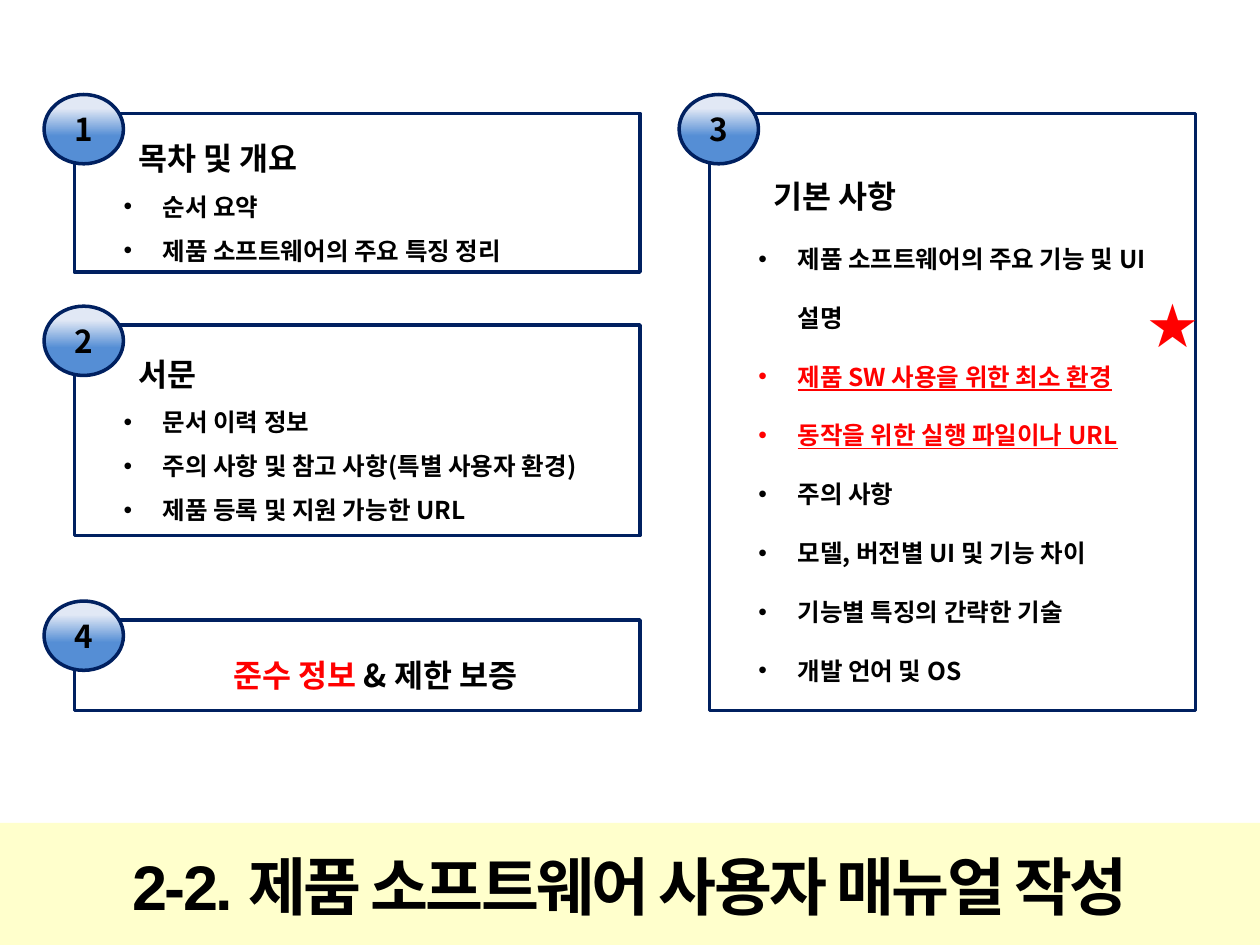
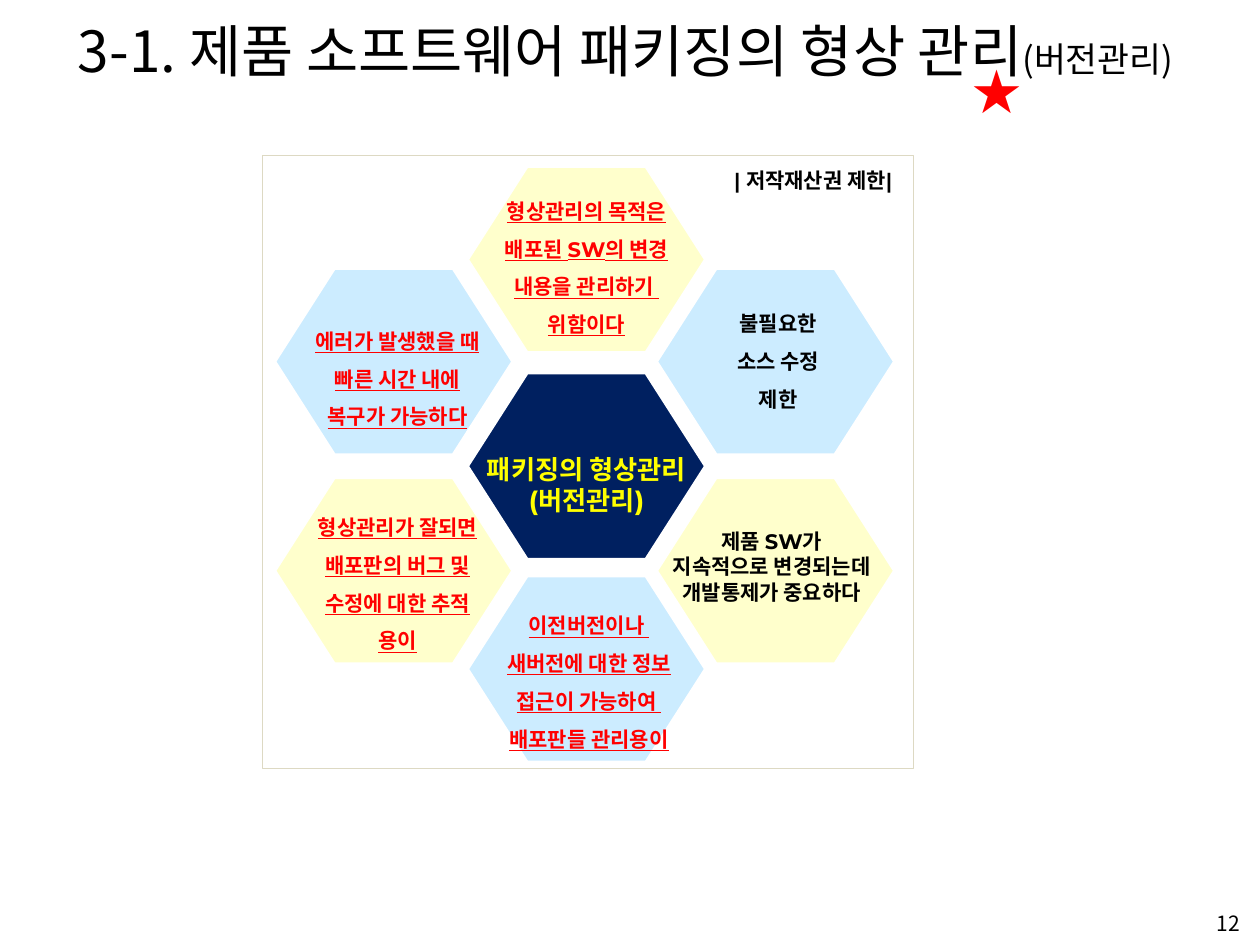
"""Build two slides on software user manuals and packaging configuration management."""
from dataclasses import dataclass

from lxml.etree import SubElement
from pptx import Presentation
from pptx.dml.color import RGBColor
from pptx.enum.shapes import MSO_SHAPE
from pptx.enum.text import MSO_ANCHOR, MSO_AUTO_SIZE, PP_ALIGN
from pptx.oxml.ns import qn
from pptx.util import Inches, Pt


@dataclass(frozen=True)
class Theme:
    """Colours, fonts and type sizes shared by the slides."""

    navy: str = "002060"
    cream: str = "FFFFCC"
    sky: str = "CCECFF"
    pale: str = "E1E8F5"
    blue: str = "558ED5"
    sand: str = "DDD9C3"
    white: str = "FFFFFF"
    black: str = "000000"
    red: str = "FF0000"
    yellow: str = "FFFF00"
    korean: str = "Noto Sans CJK KR"
    latin: str = "Arial"
    caption: str = "Montserrat"
    band_size: float = 36
    title_size: float = 32.4
    subtitle_size: float = 19.8
    star_size: float = 28
    heading_size: float = 18
    core_size: float = 15
    item_size: float = 14
    small_size: float = 12


THEME = Theme()
SLIDE_SIZE = (10, 7.5)
ALERT = {"color": THEME.red, "underline": True}
PLAIN = {"color": THEME.black}

MANUAL_TITLE = "2-2. 제품 소프트웨어 사용자 매뉴얼 작성"
PANEL_COLUMNS = {"left": (0.59, 4.49), "right": (5.63, 3.86)}
PANELS = [
    {"number": "1", "column": "left", "top": 0.9, "height": 1.26, "spacing": 1.5,
     "heading": "목차 및 개요",
     "items": ["순서 요약", "제품 소프트웨어의 주요 특징 정리"]},
    {"number": "3", "column": "right", "top": 0.9, "height": 4.74, "spacing": 2.0,
     "heading": "기본 사항",
     "items": ["제품 소프트웨어의 주요 기능 및 UI 설명", "제품 SW 사용을 위한 최소 환경",
               "동작을 위한 실행 파일이나 URL", "주의 사항", "모델, 버전별 UI 및 기능 차이",
               "기능별 특징의 간략한 기술", "개발 언어 및 OS"],
     "alerts": (1, 2)},
    {"number": "2", "column": "left", "top": 2.58, "height": 1.67, "spacing": 1.5,
     "heading": "서문",
     "items": ["문서 이력 정보", "주의 사항 및 참고 사항(특별 사용자 환경)",
               "제품 등록 및 지원 가능한 URL"]},
    {"number": "4", "column": "left", "top": 4.92, "height": 0.72, "spacing": 1.5,
     "notice": [("준수 정보 ", {"color": THEME.red}), ("& 제한 보증", {})]},
]
BADGE_OFFSET, BADGE_SIZE = (-0.24, -0.15), (0.63, 0.55)

PACKAGING_TITLE = [("3-1. 제품 소프트웨어 패키징의 형상 관리", {}),
                   ("(버전관리)", {"size": THEME.subtitle_size})]
PAGE_NUMBER = "12"
FRAME_NOTE = "| 저작재산권 제한|"
HEXAGON_COLUMNS = (2.18, 3.71, 5.21)
HEXAGON_ROWS = (1.32, 2.13, 2.96, 3.79, 4.57)
HEXAGON_SIZE = (1.89, 1.48)
HEXAGONS = [
    {"cell": (1, 0), "fill": THEME.cream, "nudge": (0, 0.02), "format": ALERT,
     "lines": ["형상관리의 목적은", "배포된 SW의 변경", "내용을 관리하기 ", "위함이다"]},
    {"cell": (1, 2), "fill": THEME.navy, "nudge": (0, 0.15), "spacing": 1.0,
     "format": {"color": THEME.yellow, "size": THEME.core_size},
     "lines": ["패키징의 형상관리", "(버전관리)"]},
    {"cell": (2, 1), "fill": THEME.sky, "nudge": (0.02, -0.05), "format": PLAIN,
     "lines": ["불필요한", "소스 수정", "제한"]},
    {"cell": (0, 1), "fill": THEME.sky, "nudge": (0.03, 0.09), "format": ALERT,
     "lines": ["에러가 발생했을 때", "빠른 시간 내에", "복구가 가능하다"]},
    {"cell": (0, 3), "fill": THEME.cream, "nudge": (0.03, 0.06), "format": ALERT,
     "lines": ["형상관리가 잘되면", "배포판의 버그 및", "수정에 대한 추적", "용이"]},
    {"cell": (2, 3), "fill": THEME.cream, "nudge": (-0.03, -0.03), "spacing": 1.0,
     "format": PLAIN,
     "lines": ["제품 SW가", "지속적으로 변경되는데", "개발통제가 중요하다"]},
    {"cell": (1, 4), "fill": THEME.sky, "nudge": (0.02, 0.06), "format": ALERT,
     "lines": ["이전버전이나 ", "새버전에 대한 정보", "접근이 가능하여 ", "배포판들 관리용이"]},
]


def write(paragraph, text, size=THEME.small_size, font=THEME.korean, color=THEME.black,
          bold=False, underline=False, tracking=None, align=PP_ALIGN.LEFT, spacing=1.0,
          indent=0, bullet=None):
    """Fill a paragraph with a string, or with (string, overrides) spans."""
    properties = paragraph._p.get_or_add_pPr()
    hanging = indent if bullet else 0
    properties.set("marL", str(Inches(indent)))
    properties.set("indent", str(-Inches(hanging)))
    if bullet:
        SubElement(properties, qn("a:buFont")).set("typeface", THEME.latin)
        SubElement(properties, qn("a:buChar")).set("char", bullet)
    paragraph.alignment = align
    paragraph.line_spacing = spacing
    for words, changes in [(text, {})] if isinstance(text, str) else text:
        span = paragraph.add_run()
        span.text = words
        span.font.size = Pt(changes.get("size", size))
        span.font.name = font
        span.font.bold = bold
        span.font.underline = underline
        span.font.color.rgb = RGBColor.from_string(changes.get("color", color))
        run_properties = span.font._element
        SubElement(run_properties, qn("a:ea")).set("typeface", THEME.korean)
        if tracking is not None:
            run_properties.set("spc", str(round(tracking * 100)))


def write_lines(shape, lines, **shared):
    """Write (text, overrides) lines as the paragraphs of a shape."""
    frame = shape.text_frame
    for index, (text, changes) in enumerate(lines):
        paragraph = frame.add_paragraph() if index else frame.paragraphs[0]
        write(paragraph, text, **{**shared, **changes})


def set_frame(shape, anchor=MSO_ANCHOR.TOP, wrap=True, insets=(0.1, 0.05, 0.1, 0.05)):
    """Set anchor, wrapping and insets of a text frame."""
    frame = shape.text_frame
    frame.auto_size = MSO_AUTO_SIZE.NONE if wrap else MSO_AUTO_SIZE.SHAPE_TO_FIT_TEXT
    frame.word_wrap = wrap
    frame.vertical_anchor = anchor
    (frame.margin_left, frame.margin_top,
     frame.margin_right, frame.margin_bottom) = map(Inches, insets)


def add_outline(shapes, preset, at, line, width, fill=None):
    """Add a preset shape with a line and an optional solid fill."""
    shape = shapes.add_shape(preset, *map(Inches, at))
    shape.shadow.inherit = False
    shape.line.color.rgb = RGBColor.from_string(line)
    shape.line.width = Pt(width)
    if fill:
        shape.fill.solid()
        shape.fill.fore_color.rgb = RGBColor.from_string(fill)
    else:
        shape.fill.background()
    return shape


def add_label(shapes, at, lines, **shared):
    """Add an unwrapped text box."""
    box = shapes.add_textbox(*map(Inches, at))
    set_frame(box, wrap=False)
    write_lines(box, lines, **shared)


def add_star(slide, left, top):
    """Add the red star that marks an important point."""
    add_label(slide.shapes, (left, top, 0.59, 0.57), [("★", {})],
              size=THEME.star_size, color=THEME.red)


def add_slide(deck, at, title, insets=(0.1, 0.05, 0.1, 0.05), anchor=MSO_ANCHOR.MIDDLE,
              fill=None, **format):
    """Add a slide and place its title."""
    slide = deck.slides.add_slide(deck.slide_layouts[5])
    holder = slide.shapes.title
    holder.left, holder.top, holder.width, holder.height = map(Inches, at)
    set_frame(holder, anchor=anchor, insets=insets)
    if fill:
        holder.fill.solid()
        holder.fill.fore_color.rgb = RGBColor.from_string(fill)
    write_lines(holder, [(title, {})], align=PP_ALIGN.CENTER, **format)
    return slide


def panel_lines(panel):
    """Return the heading and bullets of a panel, or its single notice."""
    if "notice" in panel:
        return [(panel["notice"], {"align": PP_ALIGN.CENTER})]
    lines = [(panel["heading"], {"indent": 0.12})]
    for index, item in enumerate(panel["items"]):
        accent = ALERT if index in panel.get("alerts", ()) else PLAIN
        lines.append((item, {"size": THEME.item_size, "indent": 0.31, "bullet": "•", **accent}))
    return lines


def add_panel(slide, panel):
    """Add a framed panel with its numbered badge."""
    shapes = slide.shapes.add_group_shape().shapes
    left, width = PANEL_COLUMNS[panel["column"]]
    top = panel["top"]
    strong = {"size": THEME.heading_size, "bold": True}
    frame = add_outline(shapes, MSO_SHAPE.RECTANGLE, (left, top, width, panel["height"]),
                        THEME.navy, 2)
    set_frame(frame, MSO_ANCHOR.MIDDLE, insets=(0.39, 0.05, 0.1, 0.05))
    write_lines(frame, panel_lines(panel), spacing=panel["spacing"], **strong)

    corner = (left + BADGE_OFFSET[0], top + BADGE_OFFSET[1])
    badge = add_outline(shapes, MSO_SHAPE.OVAL, corner + BADGE_SIZE, THEME.navy, 2)
    badge.fill.gradient()
    badge.fill.gradient_angle = 270
    stops = ((0.2, THEME.pale), (0.6, THEME.blue))
    for stop, (position, color) in zip(badge.fill.gradient_stops, stops):
        stop.position = position
        stop.color.rgb = RGBColor.from_string(color)
    set_frame(badge, MSO_ANCHOR.MIDDLE)
    write_lines(badge, [(panel["number"], {})], align=PP_ALIGN.CENTER, **strong)


def add_honeycomb(slide):
    """Add the framed hexagons, then their captions."""
    shapes = slide.shapes.add_group_shape().shapes
    add_outline(shapes, MSO_SHAPE.RECTANGLE, (2.08, 1.23, 5.17, 4.87), THEME.sand, 0.25)
    width, height = HEXAGON_SIZE
    corners = [(HEXAGON_COLUMNS[column], HEXAGON_ROWS[row])
               for column, row in (hexagon["cell"] for hexagon in HEXAGONS)]
    for hexagon, corner in zip(HEXAGONS, corners):
        cell = add_outline(shapes, MSO_SHAPE.HEXAGON, corner + HEXAGON_SIZE,
                           THEME.white, 1.75, hexagon["fill"])
        cell.adjustments[0] = 0.32
    for hexagon, (left, top) in zip(HEXAGONS, corners):
        lines, spacing = hexagon["lines"], hexagon.get("spacing", 1.5)
        size = hexagon["format"].get("size", THEME.small_size)
        depth = 0.1 + len(lines) * spacing * size * 1.21 / 72
        right, down = hexagon["nudge"]
        add_label(shapes, (left + right, top + (height - depth) / 2 + down, width, depth),
                  [(line, {}) for line in lines], font=THEME.caption, bold=True,
                  align=PP_ALIGN.CENTER, spacing=spacing, **hexagon["format"])
    add_label(shapes, (5.73, 1.28, 1.57, 0.3), [(FRAME_NOTE, {})],
              font=THEME.latin, bold=True)


def main():
    """Build and save the deck."""
    deck = Presentation()
    deck.slide_width, deck.slide_height = map(Inches, SLIDE_SIZE)

    manual = add_slide(deck, (0, 6.53, SLIDE_SIZE[0], 0.97), MANUAL_TITLE,
                       insets=(0.1, 0.2, 0.1, 0.2), anchor=MSO_ANCHOR.TOP, fill=THEME.cream,
                       size=THEME.band_size, font=THEME.latin, bold=True, tracking=-1.5)
    for panel in PANELS:
        add_panel(manual, panel)
    add_star(manual, 9.02, 2.3)

    packaging = add_slide(deck, (0.12, 0.05, 9.69, 0.69), PACKAGING_TITLE,
                          size=THEME.title_size)
    number = packaging.shapes.add_textbox(*map(Inches, (7.61, 7.2, 2.33, 0.25)))
    set_frame(number, MSO_ANCHOR.MIDDLE)
    write_lines(number, [(PAGE_NUMBER, {})], align=PP_ALIGN.RIGHT)
    add_honeycomb(packaging)
    add_star(packaging, 7.62, 0.44)

    deck.save("out.pptx")


if __name__ == "__main__":
    main()
